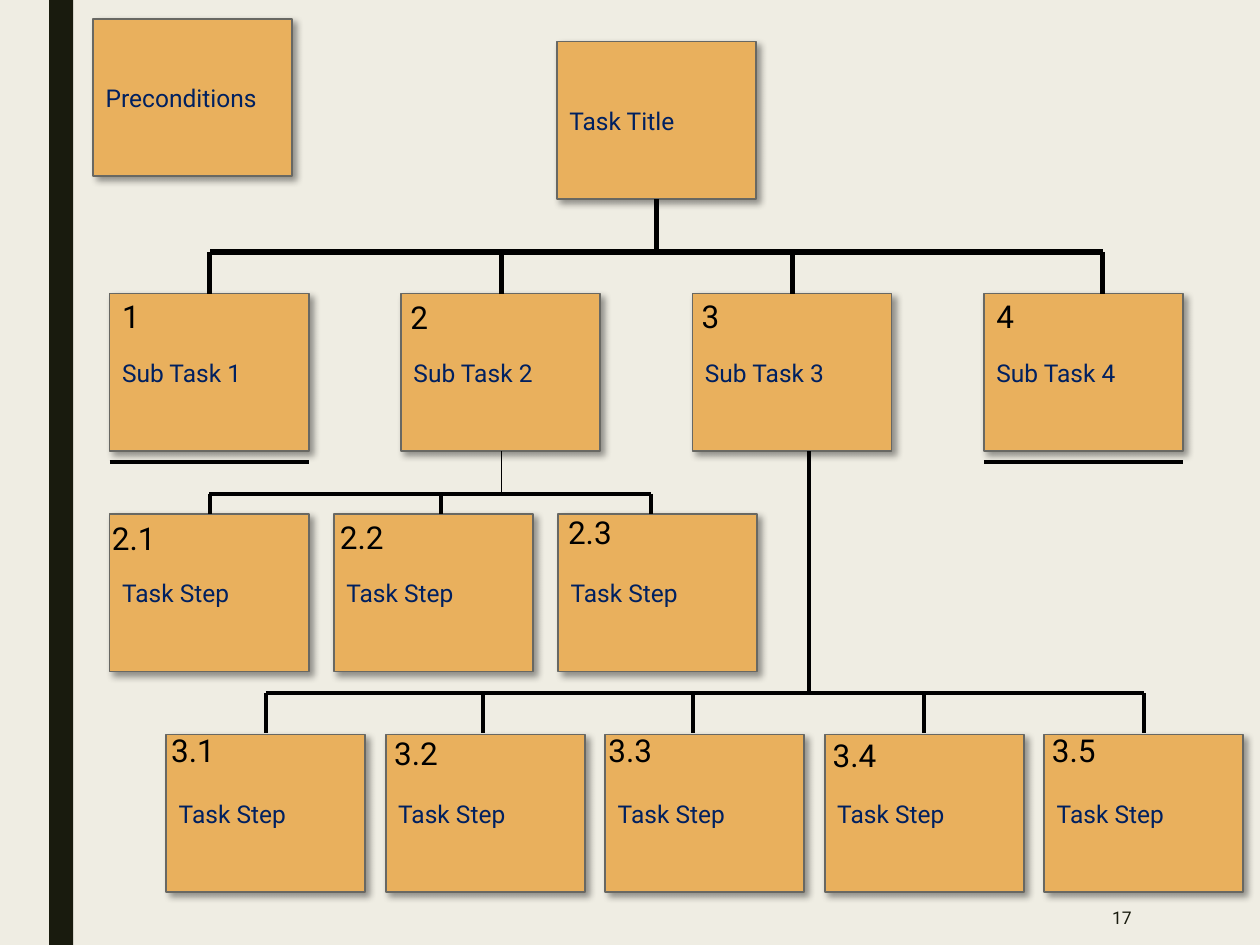
from lxml.etree import SubElement
from pptx import Presentation
from pptx.dml.color import RGBColor
from pptx.enum.shapes import MSO_CONNECTOR, MSO_SHAPE
from pptx.enum.text import MSO_ANCHOR, MSO_AUTO_SIZE, PP_ALIGN
from pptx.oxml import parse_xml
from pptx.oxml.ns import nsdecls, qn
from pptx.util import Inches, Pt

THEME = {
    "font": "Roboto",
    "paper": RGBColor.from_string("EFEDE3"),
    "bar": RGBColor.from_string("191B0E"),
    "box": RGBColor.from_string("E9B05D"),
    "edge": RGBColor.from_string("686863"),
    "label": RGBColor.from_string("002060"),
    "ink": RGBColor.from_string("000000"),
    "label_size": 14,
    "number_size": 18,
    "page_size": 10,
}
SHADOW = (
    f'<a:effectLst {nsdecls("a")}><a:outerShdw blurRad="50800" dist="38100" '
    'dir="2700000" algn="tl" rotWithShape="0"><a:srgbClr val="000000">'
    '<a:alpha val="40000"/></a:srgbClr></a:outerShdw></a:effectLst>'
)
BOX_W, BOX_H = 1.58, 1.25


def write(sp, text, size=THEME["label_size"], color=THEME["label"],
          align=PP_ALIGN.LEFT, anchor=MSO_ANCHOR.MIDDLE, fit=MSO_AUTO_SIZE.NONE):
    tf = sp.text_frame
    tf.word_wrap = True
    tf.auto_size = fit
    tf.vertical_anchor = anchor
    p = tf.paragraphs[0]
    p.alignment = align
    r = p.add_run()
    r.text = text
    r.font.name = THEME["font"]
    r.font.size = Pt(size)
    r.font.color.rgb = color


prs = Presentation()
prs.slide_width, prs.slide_height = Inches(10), Inches(7.5)
s = prs.slides.add_slide(prs.slide_layouts[6])
s.background.fill.solid()
s.background.fill.fore_color.rgb = THEME["paper"]

bar = s.shapes.add_shape(MSO_SHAPE.RECTANGLE, Inches(0.39), 0, Inches(0.19), Inches(7.5))
bar.shadow.inherit = False
bar.fill.solid()
bar.fill.fore_color.rgb = THEME["bar"]
bar.line.fill.background()

page = s.shapes.add_textbox(Inches(7.77), Inches(7.06), Inches(1.31), Inches(0.44))
write(page, "17", size=THEME["page_size"], color=THEME["bar"], align=PP_ALIGN.RIGHT)

boxes = [("Preconditions", 0.74, 0.15), ("Task Title", 4.42, 0.33)]
boxes += [(f"Sub Task {i + 1}", 0.87 + 2.313 * i, 2.33) for i in range(4)]
boxes += [("Task Step", 0.87 + 1.78 * i, 4.08) for i in range(3)]
boxes += [("Task Step", 1.32 + 1.742 * i, 5.83) for i in range(5)]
for text, x, y in boxes:
    sp = s.shapes.add_shape(MSO_SHAPE.RECTANGLE, Inches(x), Inches(y),
                            Inches(BOX_W), Inches(BOX_H))
    sp.fill.solid()
    sp.fill.fore_color.rgb = THEME["box"]
    sp.line.color.rgb = THEME["edge"]
    sp.line.width = Pt(1)
    sp._element.spPr.append(parse_xml(SHADOW))
    write(sp, text)

numbers = [
    ("1", 0.87, 2.31, 0.22), ("2", 3.16, 2.32, 0.37),
    ("3", 5.47, 2.31, 0.39), ("4", 7.81, 2.31, 0.29),
    ("2.1", 0.79, 4.07, 0.74), ("2.2", 2.6, 4.06, 0.56), ("2.3", 4.41, 4.02, 0.59),
    ("3.1", 1.26, 5.75, 0.61), ("3.2", 3.03, 5.78, 0.66), ("3.3", 4.73, 5.75, 0.61),
    ("3.4", 6.51, 5.79, 0.79), ("3.5", 8.25, 5.75, 0.63),
]
for text, x, y, w in numbers:
    sp = s.shapes.add_textbox(Inches(x), Inches(y), Inches(w), Inches(0.4))
    write(sp, text, size=THEME["number_size"], color=THEME["ink"],
          anchor=MSO_ANCHOR.TOP, fit=MSO_AUTO_SIZE.SHAPE_TO_FIT_TEXT)

lines = [
    (5.21, 1.58, 5.21, 2, 3),
    (5.21, 2, 1.67, 2, 3),
    (8.75, 2, 5.21, 2, 3),
    (0.87, 3.67, 0.87 + BOX_W, 3.67, 2.25),
    (7.81, 3.67, 7.81 + BOX_W, 3.67, 2.25),
    (3.98, 3.58, 3.98, 3.92, 0.5),
    (1.66, 3.92, 5.17, 3.92, 2.25),
    (6.42, 3.58, 6.42, 5.5, 2.25),
    (2.11, 5.5, 9.08, 5.5, 2.25),
]
drops = [
    ((1.66, 3.98, 6.29, 8.75), 2, 2.33, 3),
    ((1.67, 3.5, 5.17), 3.92, 4.08, 2.25),
    ((2.11, 3.83, 5.5, 7.33, 9.08), 5.5, 5.82, 2.25),
]
lines += [(x, top, x, bottom, w) for xs, top, bottom, w in drops for x in xs]
for x1, y1, x2, y2, w in lines:
    sp = s.shapes.add_connector(MSO_CONNECTOR.STRAIGHT, Inches(x1), Inches(y1),
                                Inches(x2), Inches(y2))
    sp.line.color.rgb = THEME["ink"]
    sp.line.width = Pt(w)
    SubElement(sp._element.spPr, qn("a:effectLst"))

prs.save("out.pptx")
